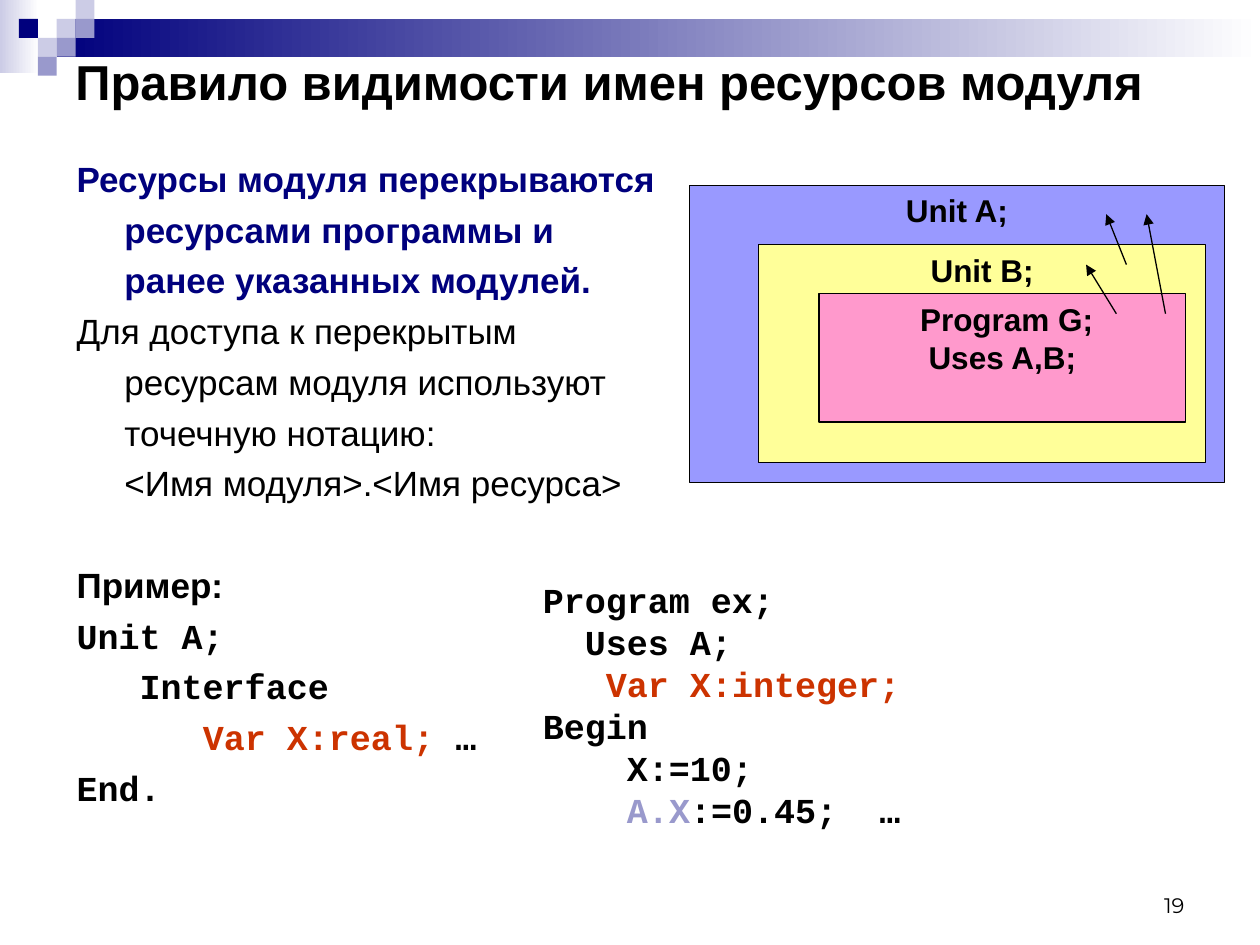
from dataclasses import dataclass

from lxml.etree import SubElement
from pptx import Presentation
from pptx.dml.color import RGBColor
from pptx.enum.shapes import MSO_CONNECTOR, MSO_SHAPE
from pptx.enum.text import MSO_ANCHOR, PP_ALIGN
from pptx.oxml.ns import qn
from pptx.util import Inches, Pt


@dataclass(frozen=True)
class Theme:
    ink: str = "000000"
    navy: str = "00007D"
    lilac: str = "9999CC"
    pale: str = "CCCCE6"
    white: str = "FFFFFF"
    red: str = "CC3300"
    unit_a: str = "9999FF"
    unit_b: str = "FFFF99"
    program: str = "FF99CC"
    sans: str = "Arial"
    mono: str = "Courier New"
    number_font: str = "Montserrat"
    title: int = 28
    body: int = 20
    label: int = 18
    number: int = 12
    leading: float = 1.2
    hairline: float = 0.75


THEME = Theme()

TITLE = "Правило видимости имен ресурсов модуля"
PAGE_NUMBER = "19"

# Each line is a list of (text, colour) spans.
RULE = ["Ресурсы модуля перекрываются", "ресурсами программы и",
        "ранее указанных модулей."]
ACCESS = ["Для доступа к перекрытым", "ресурсам модуля используют",
          "точечную нотацию:", "<Имя модуля>.<Имя ресурса>"]
EXAMPLE = "Пример:"
UNIT_CODE = [
    [("Unit A;", THEME.ink)],
    [("   Interface", THEME.ink)],
    [("      ", THEME.ink), ("Var X:real;", THEME.red), (" …", THEME.ink)],
    [("End.", THEME.ink)],
]
PROGRAM_CODE = [
    [("Program ex;", THEME.ink)],
    [("  Uses A;", THEME.ink)],
    [("   ", THEME.ink), ("Var X:integer;", THEME.red)],
    [("Begin", THEME.ink)],
    [("    X:=10;", THEME.ink)],
    [("    ", THEME.ink), ("A.X", THEME.lilac), (":=0.45;  …", THEME.ink)],
]

# Nested scopes: left, top, width, height, colour, lines
SCOPES = [
    (5.47, 1.47, 4.25, 2.36, THEME.unit_a, ["Unit A;"]),
    (6.02, 1.94, 3.55, 1.73, THEME.unit_b, ["Unit В;"]),
    (6.5, 2.33, 2.91, 1.02, THEME.program, [" Program G;", "Uses A,B;"]),
]
LOOKUPS = [((8.94, 2.1), (8.78, 1.7)),
           ((8.86, 2.49), (8.62, 2.1)),
           ((9.25, 2.49), (9.1, 1.7))]

# Corner mosaic: column, row, colour
TILE = 0.15
TILES = [(3, 1, THEME.pale), (4, 0, THEME.pale), (4, 1, THEME.lilac),
         (2, 2, THEME.pale), (1, 1, THEME.navy), (3, 2, THEME.lilac),
         (2, 3, THEME.lilac)]
FADES = [(0, 0, 0.31, 0.58, THEME.pale), (0.45, 0.15, 9.55, 0.3, THEME.navy)]

INDENT = 0.38
LINE_GAP = 5
SECTION_GAP = 34


def color(value):
    return RGBColor.from_string(value)


def add_rectangle(page, left, top, width, height, fill=None):
    box = page.shapes.add_shape(MSO_SHAPE.RECTANGLE, Inches(left), Inches(top),
                                Inches(width), Inches(height))
    box.shadow.inherit = False
    box.line.fill.background()
    if fill:
        box.fill.solid()
        box.fill.fore_color.rgb = color(fill)
    return box


def add_fade(page, left, top, width, height, start):
    box = add_rectangle(page, left, top, width, height)
    box.fill.gradient()
    box.fill.gradient_angle = 0
    for stop, value in zip(box.fill.gradient_stops, (start, THEME.white)):
        stop.color.rgb = color(value)


def add_text_box(page, left, top, width, height, anchor=MSO_ANCHOR.TOP):
    box = page.shapes.add_textbox(Inches(left), Inches(top),
                                  Inches(width), Inches(height))
    box.text_frame.word_wrap = True
    box.text_frame.vertical_anchor = anchor
    return box.text_frame


def write_line(frame, spans, size, font=THEME.sans, bold=False,
               align=PP_ALIGN.LEFT, before=0, indent=0):
    """Fill the frame's empty first paragraph, or append a new one."""
    first = not frame.paragraphs[0].runs
    para = frame.paragraphs[0] if first else frame.add_paragraph()
    para.alignment = align
    para.line_spacing = Pt(size * THEME.leading)
    if before and not first:
        para.space_before = Pt(before)
    if indent:
        para._p.get_or_add_pPr().set("marL", str(Inches(indent)))
    para.font.size = Pt(size)
    para.font.name = font
    para.font.bold = bold
    for text, value in spans:
        span = para.add_run()
        span.text = text
        span.font.color.rgb = color(value)


def add_arrow(page, start, end):
    arrow = page.shapes.add_connector(MSO_CONNECTOR.STRAIGHT,
                                      *map(Inches, start + end))
    arrow.line.color.rgb = color(THEME.ink)
    arrow.line.width = Pt(THEME.hairline)
    SubElement(arrow.line._get_or_add_ln(), qn("a:tailEnd"), type="triangle")
    SubElement(arrow._element.spPr, qn("a:effectLst"))


def add_corner(page):
    for fade in FADES:
        add_fade(page, *fade)
    for column, row, fill in TILES:
        add_rectangle(page, column * TILE, row * TILE, TILE, TILE, fill)


def add_body(page):
    frame = add_text_box(page, 0.51, 1.2, 9.06, 6.3)
    for lines, ink, bold in ((RULE, THEME.navy, True), (ACCESS, THEME.ink, False)):
        for index, text in enumerate(lines):
            write_line(frame, [(text, ink)], THEME.body, bold=bold,
                       before=LINE_GAP, indent=INDENT if index else 0)
    write_line(frame, [(EXAMPLE, THEME.ink)], THEME.body, bold=True,
               before=SECTION_GAP)
    for spans in UNIT_CODE:
        write_line(frame, spans, THEME.body, THEME.mono, True, before=LINE_GAP)


def add_scopes(page):
    for left, top, width, height, fill, lines in SCOPES:
        box = add_rectangle(page, left, top, width, height, fill)
        box.line.color.rgb = color(THEME.ink)
        box.line.width = Pt(THEME.hairline)
        box.text_frame.vertical_anchor = MSO_ANCHOR.TOP
        for text in lines:
            write_line(box.text_frame, [(text, THEME.ink)], THEME.label,
                       bold=True, align=PP_ALIGN.CENTER)


def main():
    deck = Presentation()
    deck.slide_width, deck.slide_height = Inches(10), Inches(7.5)
    page = deck.slides.add_slide(deck.slide_layouts[6])
    add_corner(page)
    write_line(add_text_box(page, 7.17, 6.83, 2.33, 0.5, MSO_ANCHOR.BOTTOM),
               [(PAGE_NUMBER, THEME.ink)], THEME.number, THEME.number_font,
               align=PP_ALIGN.RIGHT)
    write_line(add_text_box(page, 0.5, 0.52, 9.15, 0.24, MSO_ANCHOR.MIDDLE),
               [(TITLE, THEME.ink)], THEME.title, bold=True)
    add_body(page)
    add_scopes(page)
    program = add_text_box(page, 4.21, 4.54, 5.36, 2.1)
    for spans in PROGRAM_CODE:
        write_line(program, spans, THEME.body, THEME.mono, True)
    for start, end in LOOKUPS:
        add_arrow(page, start, end)
    deck.save("out.pptx")


if __name__ == "__main__":
    main()
